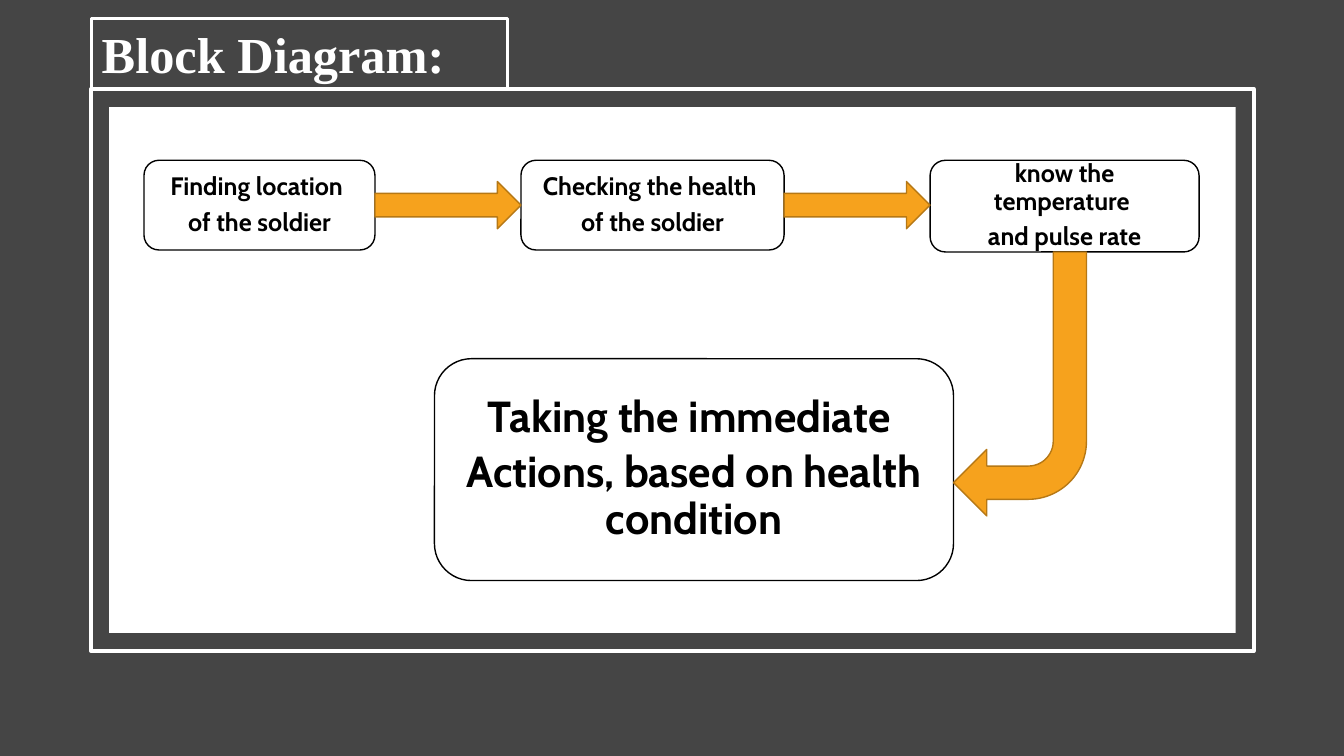
from dataclasses import dataclass

from pptx import Presentation
from pptx.dml.color import RGBColor
from pptx.enum.shapes import MSO_SHAPE
from pptx.enum.text import MSO_ANCHOR, PP_ALIGN
from pptx.util import Cm, Pt

TITLE = "Block Diagram: "
TITLE_PLACE = (2.31, 0.46, 10.49, 1.8)
FRAME_PLACE = (2.29, 2.24, 29.31, 14.17)
PANEL_INSET = 0.46

# Lines of text, then left, top, width, height in centimetres
STEPS = [
    (("Finding location ", "of the soldier"), (3.63, 4.04, 5.82, 2.26)),
    (("Checking the health ", "of the soldier"), (13.13, 4.04, 6.63, 2.26)),
    (("know the temperature ", "and pulse rate"), (23.44, 4.04, 6.78, 2.31)),
]
ACTION = (
    ("Taking the immediate ", "Actions, based on health condition"),
    (10.95, 9.04, 13.08, 5.59),
)
ARROW_HEIGHT = 1.19
BENT_ARROW_SIZE = (3.35, 6.65)


@dataclass(frozen=True)
class Theme:
    background: RGBColor = RGBColor(0x45, 0x45, 0x45)
    white: RGBColor = RGBColor(0xFF, 0xFF, 0xFF)
    black: RGBColor = RGBColor(0x00, 0x00, 0x00)
    arrow: RGBColor = RGBColor(0xF6, 0xA2, 0x1D)
    arrow_edge: RGBColor = RGBColor(0xB6, 0x78, 0x15)
    title_font: str = "Times New Roman"
    box_font: str = "Cabin"
    title_size: int = 36
    step_size: int = 18
    action_size: int = 31


THEME = Theme()


def style_text(paragraph, font_name, size, color):
    for span in paragraph.runs:
        span.font.name = font_name
        span.font.size = Pt(size)
        span.font.bold = True
        span.font.color.rgb = color


def add_block(page, kind, place, fill=None, edge=None, edge_width=1):
    """Add a shape placed in centimetres; no fill or edge means none is drawn."""
    block = page.shapes.add_shape(kind, *map(Cm, place))
    block.shadow.inherit = False
    if fill is None:
        block.fill.background()
    else:
        block.fill.solid()
        block.fill.fore_color.rgb = fill
    if edge is None:
        block.line.fill.background()
    else:
        block.line.color.rgb = edge
        block.line.width = Pt(edge_width)
    return block


def add_text_box(page, lines, place, size):
    box = add_block(page, MSO_SHAPE.ROUNDED_RECTANGLE, place, THEME.white, THEME.black)
    frame = box.text_frame
    frame.word_wrap = True
    frame.vertical_anchor = MSO_ANCHOR.MIDDLE
    frame.text = "\n".join(lines)
    for paragraph in frame.paragraphs:
        paragraph.alignment = PP_ALIGN.CENTER
        paragraph.line_spacing = 0.9
        paragraph.space_after = Pt(6)
        style_text(paragraph, THEME.box_font, size, THEME.black)


def add_arrow(page, kind, place):
    return add_block(page, kind, place, THEME.arrow, THEME.arrow_edge)


def set_title(page):
    title = page.shapes.title
    title.left, title.top, title.width, title.height = map(Cm, TITLE_PLACE)
    title.line.color.rgb = THEME.white
    title.line.width = Pt(2.25)
    frame = title.text_frame
    frame.text = TITLE
    frame.word_wrap = True
    frame.vertical_anchor = MSO_ANCHOR.TOP
    paragraph = frame.paragraphs[0]
    paragraph.alignment = PP_ALIGN.LEFT
    paragraph.line_spacing = 1.0
    paragraph.space_before = Pt(0)
    style_text(paragraph, THEME.title_font, THEME.title_size, THEME.white)


def add_frame(page):
    left, top, width, height = FRAME_PLACE
    panel_place = (left + PANEL_INSET, top + PANEL_INSET,
                   width - 2 * PANEL_INSET, height - 2 * PANEL_INSET)
    add_block(page, MSO_SHAPE.RECTANGLE, FRAME_PLACE, edge=THEME.white, edge_width=2.5)
    add_block(page, MSO_SHAPE.RECTANGLE, panel_place, fill=THEME.white)


def add_flow(page):
    for lines, place in STEPS:
        add_text_box(page, lines, place, THEME.step_size)
    add_text_box(page, *ACTION, THEME.action_size)

    places = [place for _, place in STEPS]
    for (left, top, width, height), following in zip(places, places[1:]):
        start = left + width
        arrow_top = top + (height - ARROW_HEIGHT) / 2
        add_arrow(page, MSO_SHAPE.RIGHT_ARROW,
                  (start, arrow_top, following[0] - start, ARROW_HEIGHT))

    _, last_top, _, last_height = places[-1]
    action_left, _, action_width, _ = ACTION[1]
    bent_arrow = add_arrow(page, MSO_SHAPE.BENT_ARROW,
                           (action_left + action_width, last_top + last_height,
                            *BENT_ARROW_SIZE))
    bent_arrow.rotation = 180


def main():
    deck = Presentation()
    deck.slide_width, deck.slide_height = Cm(33.87), Cm(19.05)
    page = deck.slides.add_slide(deck.slide_layouts[5])
    page.background.fill.solid()
    page.background.fill.fore_color.rgb = THEME.background
    set_title(page)
    add_frame(page)
    add_flow(page)
    deck.save("out.pptx")


if __name__ == "__main__":
    main()
